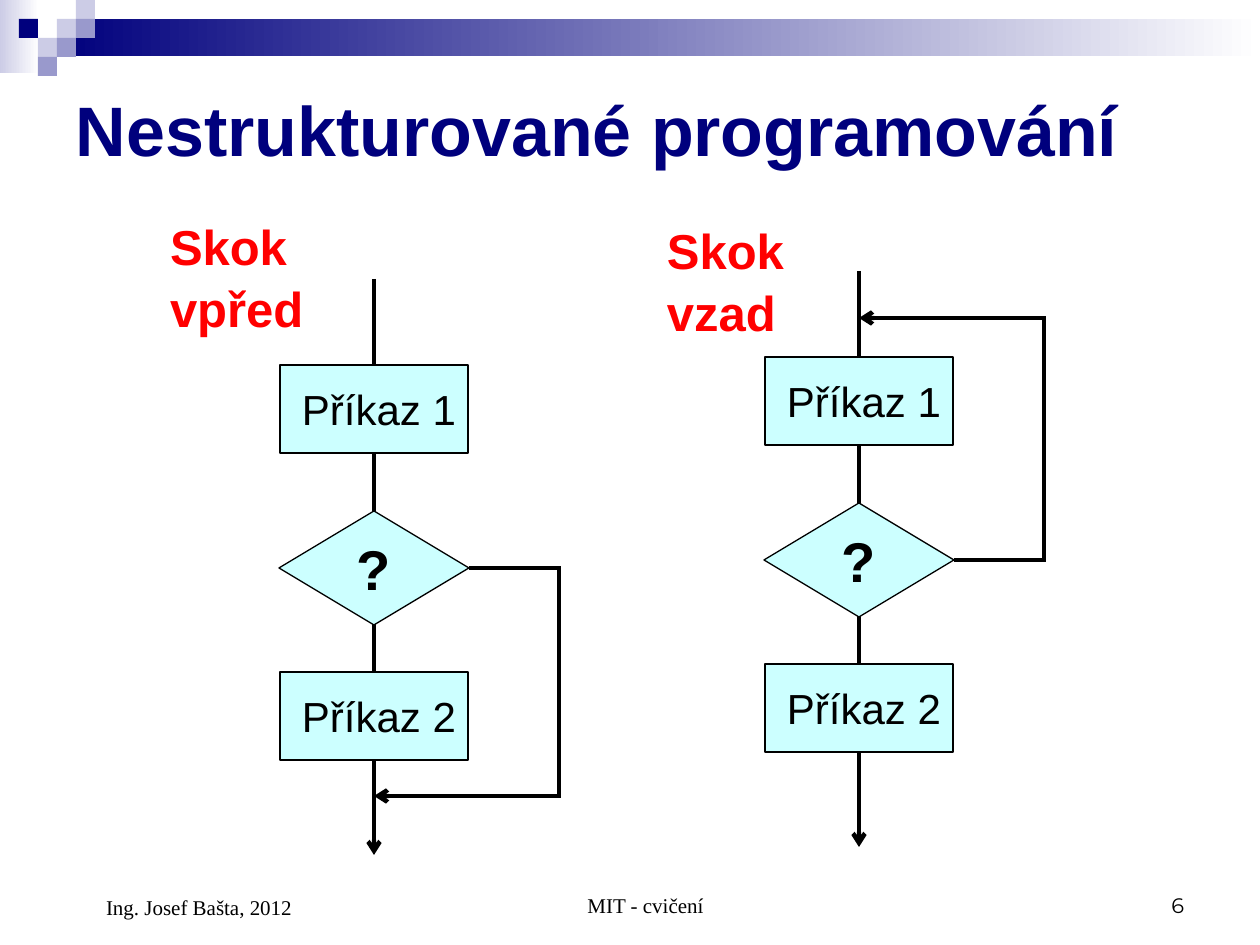
from lxml import etree
from pptx import Presentation
from pptx import util as u
from pptx.dml import color
from pptx.enum import shapes, text
from pptx.oxml import ns

EMU_PER_PX = 914400 / 126
NAVY, LILAC, VIOLET = "00007D", "CCCCE6", "9999CC"
BLACK, RED, AQUA = "000000", "FF0000", "CCFFFF"
SERIF = "Times New Roman"
LEFT, CENTER, RIGHT = text.PP_ALIGN.LEFT, text.PP_ALIGN.CENTER, text.PP_ALIGN.RIGHT
TOP, MIDDLE, BOTTOM = text.MSO_ANCHOR.TOP, text.MSO_ANCHOR.MIDDLE, text.MSO_ANCHOR.BOTTOM


def px(n):
    return u.Emu(round(n * EMU_PER_PX))


def rgb(value):
    return color.RGBColor.from_string(value)


def write(s, content, size, c=BLACK, font="Arial", bold=False, align=LEFT,
          anchor=MIDDLE, inset=13, wrap=True, spacing=None):
    tf = s.text_frame
    tf.word_wrap = wrap
    tf.vertical_anchor = anchor
    tf.margin_left, tf.margin_right = px(inset), px(13)
    tf.margin_top = tf.margin_bottom = px(6)
    p = tf.paragraphs[0]
    p.alignment = align
    p.line_spacing = spacing
    r = p.add_run()
    r.text = content
    r.font.name, r.font.size, r.font.bold = font, u.Pt(size), bold
    r.font.color.rgb = rgb(c)


def add_text(sp, box, content, size, **style):
    write(sp.add_textbox(*map(px, box)), content, size, **style)


def add_box(sp, kind, box, fill, outlined=False):
    s = sp.add_shape(kind, *map(px, box))
    s.shadow.inherit = False
    s.fill.solid()
    s.fill.fore_color.rgb = rgb(fill)
    if outlined:
        s.line.color.rgb = rgb(BLACK)
        s.line.width = u.Pt(0.75)
    else:
        s.line.fill.background()
    return s


def add_fade(sp, box, start, end):
    s = add_box(sp, shapes.MSO_SHAPE.RECTANGLE, box, start)
    s.fill.gradient()
    s.fill.gradient_angle = 0
    for stop, c in zip(s.fill.gradient_stops, (start, end)):
        stop.color.rgb = rgb(c)


def add_line(sp, start, end, arrow=False):
    s = sp.add_connector(shapes.MSO_CONNECTOR.STRAIGHT, *map(px, (*start, *end)))
    s.line.color.rgb = rgb(BLACK)
    s.line.width = u.Pt(2.5)
    if arrow:
        etree.SubElement(s.line._get_or_add_ln(), ns.qn("a:tailEnd"), type="arrow")
    etree.SubElement(s._element.spPr, ns.qn("a:effectLst"))
    return s


def add_decoration(sp):
    add_fade(sp, (0, 0, 39, 73), LILAC, "FFFFFF")
    add_fade(sp, (57, 19, 1203, 37), NAVY, "FFFFFF")
    for col, row, c in ((3, 1, LILAC), (4, 0, LILAC), (4, 1, VIOLET), (2, 2, LILAC),
                        (1, 1, NAVY), (3, 2, VIOLET), (2, 3, VIOLET)):
        box = (col * 19, row * 19, 19, 19)
        add_box(sp, shapes.MSO_SHAPE.RECTANGLE, box, c)


def add_flowchart(sp, cx, top, jump):
    add_line(sp, (cx, top), (cx, top + 576), arrow=True)
    for label, dy in (("Příkaz 1", 86), ("Příkaz 2", 393)):
        s = add_box(sp, shapes.MSO_SHAPE.FLOWCHART_PROCESS,
                    (cx - 94, top + dy, 188, 88), AQUA, outlined=True)
        write(s, label, 24, inset=22, wrap=False)
    decision = add_box(sp, shapes.MSO_SHAPE.FLOWCHART_DECISION,
                       (cx - 95, top + 232, 190, 114), AQUA, outlined=True)
    write(decision, "?", 32, bold=True, align=CENTER, wrap=False)

    branch_y, jump_y = top + 289, top + jump
    branch = add_line(sp, (cx + 95, branch_y), (cx + 187, branch_y))
    branch.begin_connect(decision, 3)
    add_line(sp, (cx + 185, branch_y), (cx + 185, jump_y))
    add_line(sp, (cx + 187, jump_y), (cx, jump_y), arrow=True)


def main():
    prs = Presentation()
    prs.slide_width, prs.slide_height = px(1260), px(945)
    sp = prs.slides.add_slide(prs.slide_layouts[6]).shapes

    add_decoration(sp)
    add_text(sp, (63, 63, 1134, 130), "Nestrukturované programování", 40, c=NAVY, bold=True)
    heading = dict(c=RED, bold=True, anchor=TOP, spacing=1.05)
    add_text(sp, (157, 208, 195, 131), "Skok vpřed", 28, **heading)
    add_text(sp, (654, 212, 176, 131), "Skok vzad", 28, **heading)
    add_flowchart(sp, 374, 279, jump=517)
    add_flowchart(sp, 859, 271, jump=47)

    add_text(sp, (63, 861, 294, 65), "Ing. Josef Bašta, 2012", 12,
             font=SERIF, anchor=BOTTOM, inset=43)
    add_text(sp, (431, 861, 399, 63), "MIT - cvičení", 12,
             font=SERIF, align=CENTER, anchor=BOTTOM, inset=43)
    add_text(sp, (903, 861, 294, 63), "6", 12,
             font="Montserrat", align=RIGHT, anchor=BOTTOM)
    prs.save("out.pptx")


if __name__ == "__main__":
    main()
